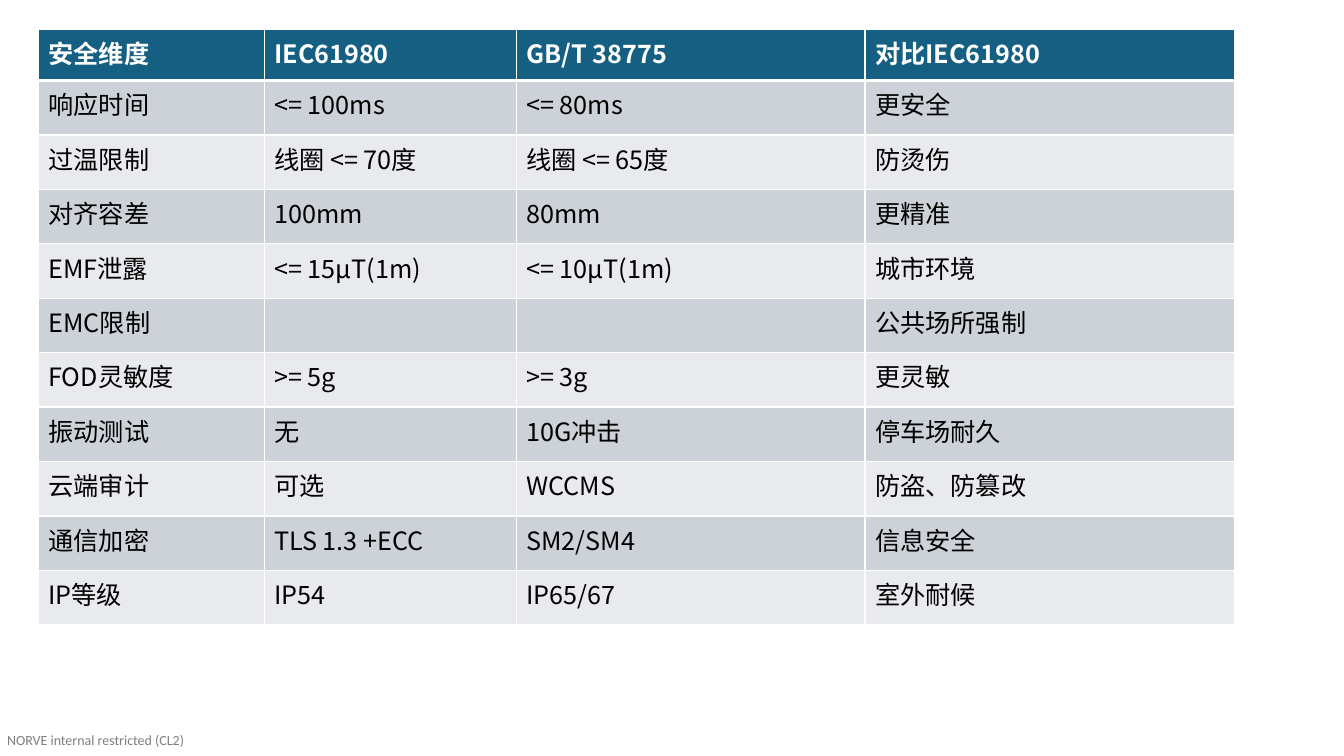
from lxml import etree
from pptx import Presentation
from pptx.dml.color import RGBColor
from pptx.oxml.ns import qn
from pptx.util import Inches, Pt

# Content
ROWS = [
    ("安全维度", "IEC61980", "GB/T 38775", "对比IEC61980"),
    ("响应时间", "<= 100ms", "<= 80ms", "更安全"),
    ("过温限制", "线圈 <= 70度", "线圈 <= 65度", "防烫伤"),
    ("对齐容差", "100mm", "80mm", "更精准"),
    ("EMF泄露", "<= 15μT(1m)", "<= 10μT(1m)", "城市环境"),
    ("EMC限制", "", "", "公共场所强制"),
    ("FOD灵敏度", ">= 5g", ">= 3g", "更灵敏"),
    ("振动测试", "无", "10G冲击", "停车场耐久"),
    ("云端审计", "可选", "WCCMS", "防盗、防篡改"),
    ("通信加密", "TLS 1.3 +ECC", "SM2/SM4", "信息安全"),
    ("IP等级", "IP54", "IP65/67", "室外耐候"),
]
FOOTER = "NORVE internal restricted (CL2)"

# Layout and formats
COL_WIDTHS = (2.24, 2.5, 3.46, 3.67)
HEAD_HEIGHT, ROW_HEIGHT = 0.51, 0.54
HEAD_FILL, BAND_FILLS = "156082", ("CCD2D8", "E8EAED")
HEAD_FONT = {"name": "Noto Sans CJK SC", "size": Pt(18), "bold": True}
BODY_FONT = {**HEAD_FONT, "bold": False}
FOOTER_FONT = {"name": "Calibri", "size": Pt(10)}


def paint(target, color):
    target.rgb = RGBColor.from_string(color)


def add_run(p, words, font_format, color):
    r = p.add_run()
    r.text = words
    for name, value in font_format.items():
        setattr(r.font, name, value)
    paint(r.font.color, color)
    etree.SubElement(r.font._element, qn("a:ea"), typeface=font_format["name"])


def set_borders(cell, widths):
    """Add white edges, in the order left, right, top, bottom."""
    tc_pr = cell._tc.get_or_add_tcPr()
    for i, (side, width) in enumerate(zip("LRTB", widths)):
        ln = etree.Element(qn(f"a:ln{side}"), w=str(Pt(width)))
        fill = etree.SubElement(ln, qn("a:solidFill"))
        etree.SubElement(fill, qn("a:srgbClr"), val="FFFFFF")
        tc_pr.insert(i, ln)


def add_comparison_table(s):
    heights = [HEAD_HEIGHT] + [ROW_HEIGHT] * (len(ROWS) - 1)
    table = s.shapes.add_table(
        len(ROWS), len(COL_WIDTHS), Inches(0.38), Inches(0.29),
        Inches(sum(COL_WIDTHS)), Inches(sum(heights))).table
    for column, width in zip(table.columns, COL_WIDTHS):
        column.width = Inches(width)
    for row, height in zip(table.rows, heights):
        row.height = Inches(height)

    for i, values in enumerate(ROWS):
        head = i == 0
        for j, words in enumerate(values):
            cell = table.cell(i, j)
            cell.fill.solid()
            paint(cell.fill.fore_color, HEAD_FILL if head else BAND_FILLS[(i - 1) % 2])
            set_borders(cell, (1, 1, 3 if i == 1 else 1, 3 if head else 1))
            if words:
                add_run(cell.text_frame.paragraphs[0], words,
                        HEAD_FONT if head else BODY_FONT,
                        "FFFFFF" if head else "000000")


def add_footer(s):
    tf = s.shapes.add_textbox(
        Inches(0.07), Inches(7.26), Inches(1.81), Inches(0.17)).text_frame
    for side in ("left", "top", "right", "bottom"):
        setattr(tf, f"margin_{side}", 0)
    add_run(tf.paragraphs[0], FOOTER, FOOTER_FONT, "7F7F7F")


def main():
    prs = Presentation()
    prs.slide_width, prs.slide_height = Inches(13.33), Inches(7.5)
    s = prs.slides.add_slide(prs.slide_layouts[6])
    add_footer(s)
    add_comparison_table(s)
    prs.save("out.pptx")


if __name__ == "__main__":
    main()
